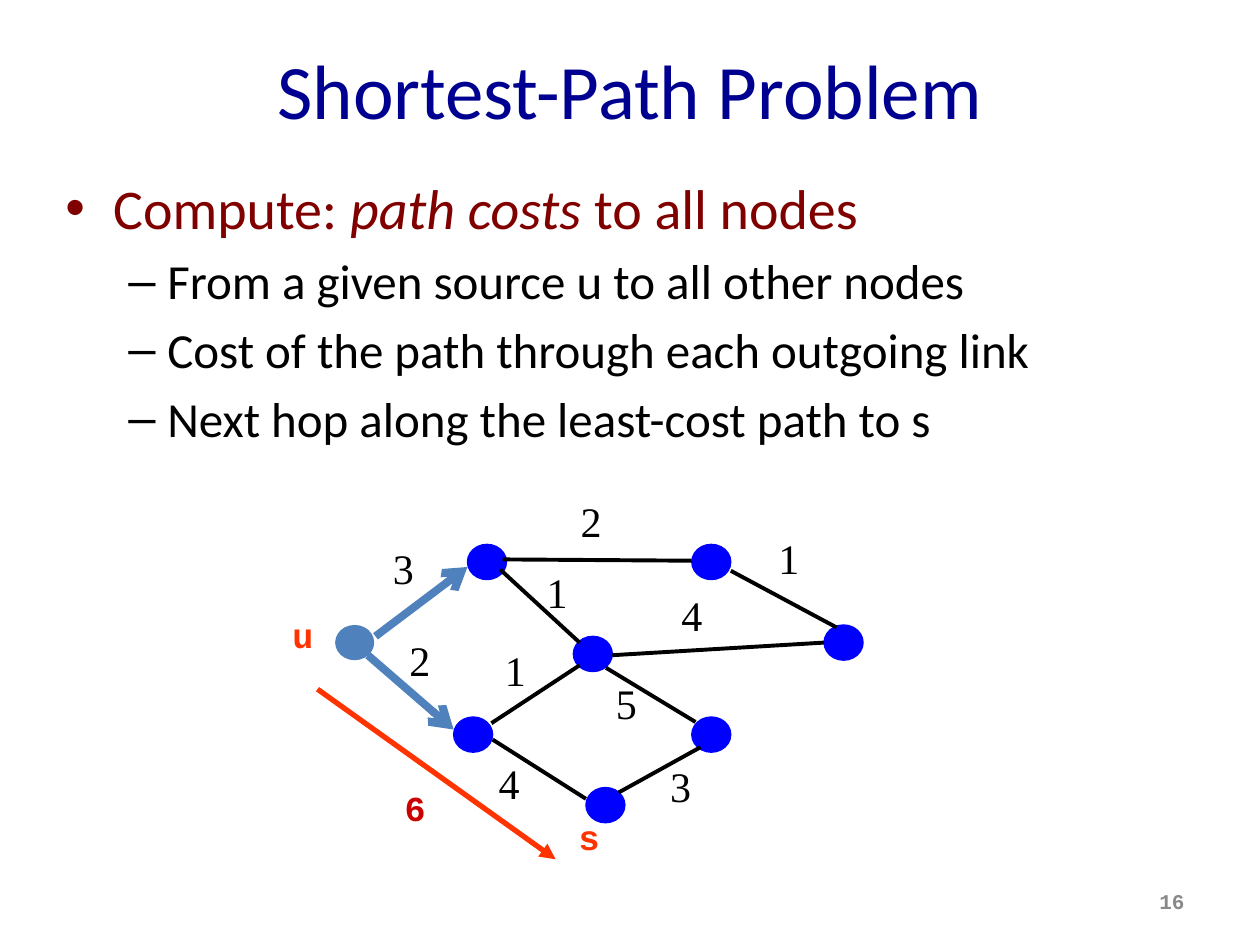
from lxml import etree
from pptx import Presentation
from pptx.dml.color import RGBColor
from pptx.enum.shapes import MSO_CONNECTOR, MSO_SHAPE
from pptx.enum.text import MSO_ANCHOR, PP_ALIGN
from pptx.oxml.ns import qn
from pptx.util import Inches, Pt

STRAIGHT = MSO_CONNECTOR.STRAIGHT
OVAL = MSO_SHAPE.OVAL
TOP, MIDDLE = MSO_ANCHOR.TOP, MSO_ANCHOR.MIDDLE
LEFT, CENTER, RIGHT = PP_ALIGN.LEFT, PP_ALIGN.CENTER, PP_ALIGN.RIGHT

BLACK, BLUE, STEEL, ORANGE = "000000", "0000FF", "4F81BD", "FF3300"


def write(para, text, size=24, font="Times New Roman", color=BLACK,
          bold=False, italic=False, align=LEFT):
    para.alignment = align
    span = para.add_run()
    span.text = text
    span.font.size = Pt(size)
    span.font.name = font
    span.font.bold = bold
    span.font.italic = italic
    span.font.color.rgb = RGBColor.from_string(color)


def add_box(left, top, width, height, wrap=True, anchor=TOP):
    box = page.shapes.add_textbox(Inches(left), Inches(top), Inches(width), Inches(height))
    box.text_frame.word_wrap = wrap
    box.text_frame.vertical_anchor = anchor
    return box.text_frame


deck = Presentation()
deck.slide_width, deck.slide_height = Inches(10), Inches(7.5)
page = deck.slides.add_slide(deck.slide_layouts[6])

title = add_box(0.5, 0.08, 9, 1.25, anchor=MIDDLE)
write(title.paragraphs[0], "Shortest-Path Problem", size=44, font="Calibri",
      color="000090", align=CENTER)

body = add_box(0.42, 1.33, 9.33, 5.37)
bullets = [
    (0, ["Compute: ", "path costs", " to all nodes"]),
    (1, ["From a given source u to all other nodes"]),
    (1, ["Cost of the path through each outgoing link"]),
    (1, ["Next hop along the least-cost path to s"]),
]
levels = [("•", 32, "800000", 0.38, -0.38), ("–", 28, BLACK, 0.81, -0.31)]
for index, (level, parts) in enumerate(bullets):
    mark, size, color, margin, indent = levels[level]
    para = body.add_paragraph() if index else body.paragraphs[0]
    para.level = level
    para.space_before = Pt(size * 0.2)
    for part in parts:
        write(para, part, size=size, font="Calibri", color=color,
              italic=part == "path costs")
    properties = para._p.get_or_add_pPr()
    properties.set("marL", str(Inches(margin)))
    properties.set("indent", str(Inches(indent)))
    etree.SubElement(properties, qn("a:buFont"), typeface="Arial")
    etree.SubElement(properties, qn("a:buChar"), char=mark)

nodes = [
    (2.66, 4.96, STEEL), (3.6, 5.69, BLUE), (3.71, 4.32, BLUE), (4.55, 5.05, BLUE),
    (5.49, 5.69, BLUE), (5.49, 4.32, BLUE), (4.65, 6.25, BLUE), (6.54, 4.96, BLUE),
]
for left, top, color in nodes:
    node = page.shapes.add_shape(OVAL, Inches(left), Inches(top), Inches(0.31), Inches(0.28))
    node.shadow.inherit = False
    node.fill.solid()
    node.fill.fore_color.rgb = RGBColor.from_string(color)
    if color == BLUE:
        node.line.color.rgb = RGBColor.from_string(color)
        node.line.width = Pt(0.75)
    else:
        node.line.fill.background()

links = [
    (2.98, 5.05, 3.71, 4.5, STEEL, 4.5, "arrow"),
    (2.92, 5.2, 3.6, 5.79, STEEL, 4.5, "arrow"),
    (3.97, 4.52, 4.6, 5.1, BLACK, 2.25, None),
    (3.91, 5.87, 4.65, 6.34, BLACK, 2.25, None),
    (3.9, 5.74, 4.6, 5.28, BLACK, 2.25, None),
    (4.81, 5.3, 5.52, 5.73, BLACK, 2.25, None),
    (4.91, 6.29, 5.56, 5.93, BLACK, 2.25, None),
    (4.86, 5.2, 6.54, 5.1, BLACK, 2.25, None),
    (3.99, 4.44, 5.49, 4.45, BLACK, 2.25, None),
    (5.8, 4.53, 6.64, 4.98, BLACK, 2.25, None),
    (2.52, 5.47, 4.41, 6.82, ORANGE, 3, "triangle"),
]
for x1, y1, x2, y2, color, weight, arrow in links:
    link = page.shapes.add_connector(STRAIGHT, Inches(x1), Inches(y1), Inches(x2), Inches(y2))
    link.line.color.rgb = RGBColor.from_string(color)
    link.line.width = Pt(weight)
    if arrow:
        etree.SubElement(link.line._get_or_add_ln(), qn("a:tailEnd"), type=arrow)
    etree.SubElement(link._element.spPr, qn("a:effectLst"))

costs = [
    ("3", 3.02, 4.26), ("2", 4.51, 3.88), ("2", 3.15, 4.99), ("1", 4.24, 4.45),
    ("1", 3.91, 5.07), ("4", 5.31, 4.63), ("1", 6.08, 4.18), ("4", 3.86, 5.96),
    ("5", 4.79, 5.33), ("3", 5.22, 5.99),
]
for cost, left, top in costs:
    label = add_box(left, top, 0.37, 0.5, wrap=False)
    write(label.paragraphs[0], cost)

names = [("u", 2.22, 4.82, ORANGE), ("s", 4.49, 6.42, ORANGE), ("6", 3.11, 6.19, "CC0000")]
for name, left, top, color in names:
    label = add_box(left, top, 0.37, 0.43, wrap=False)
    write(label.paragraphs[0], name, size=20, font="Courier New", color=color,
          bold=True, align=CENTER)

number = add_box(7.17, 6.95, 2.33, 0.4, anchor=MIDDLE)
write(number.paragraphs[0], "16", size=12, font="Courier New", color="898989",
      bold=True, align=RIGHT)

deck.save("out.pptx")
